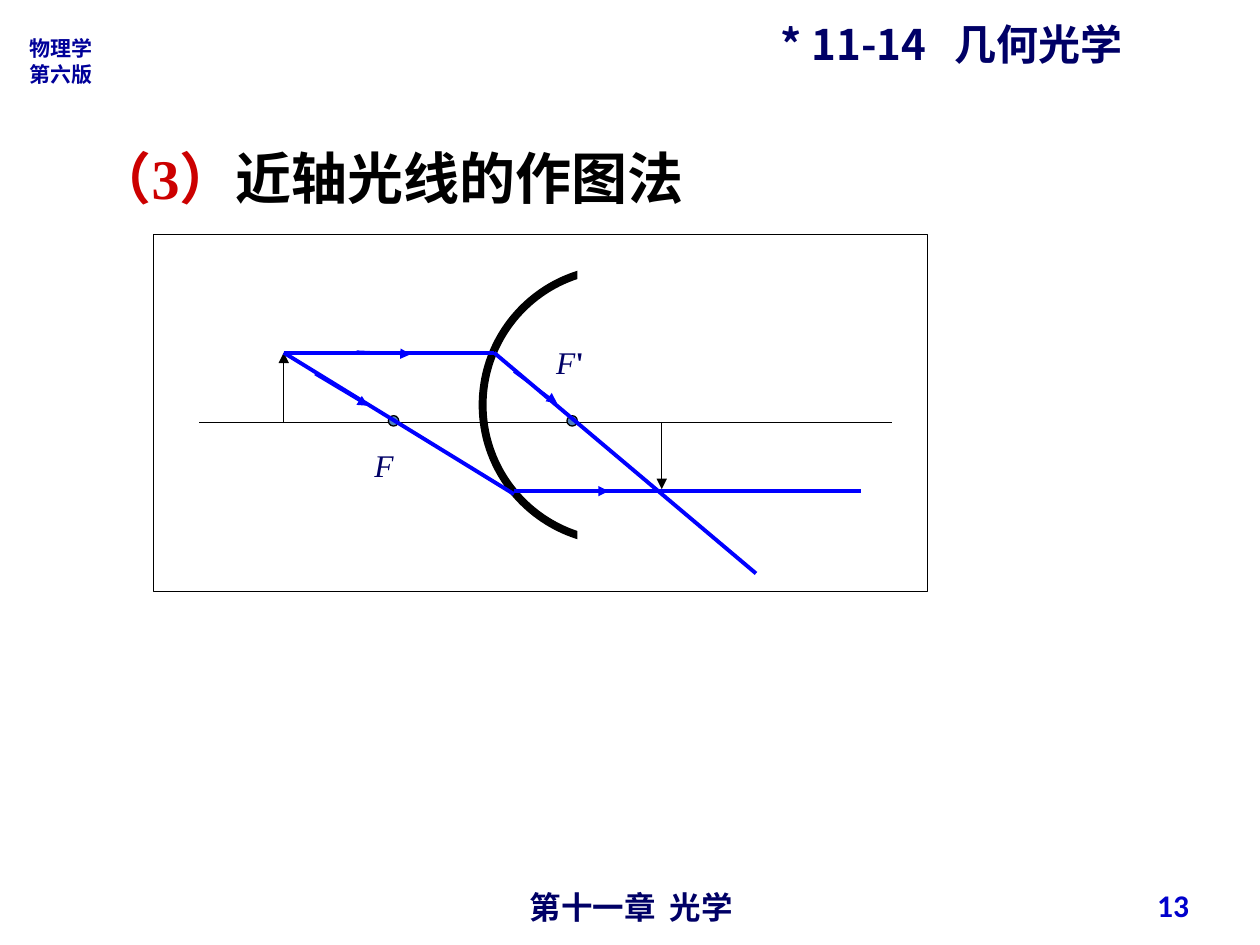
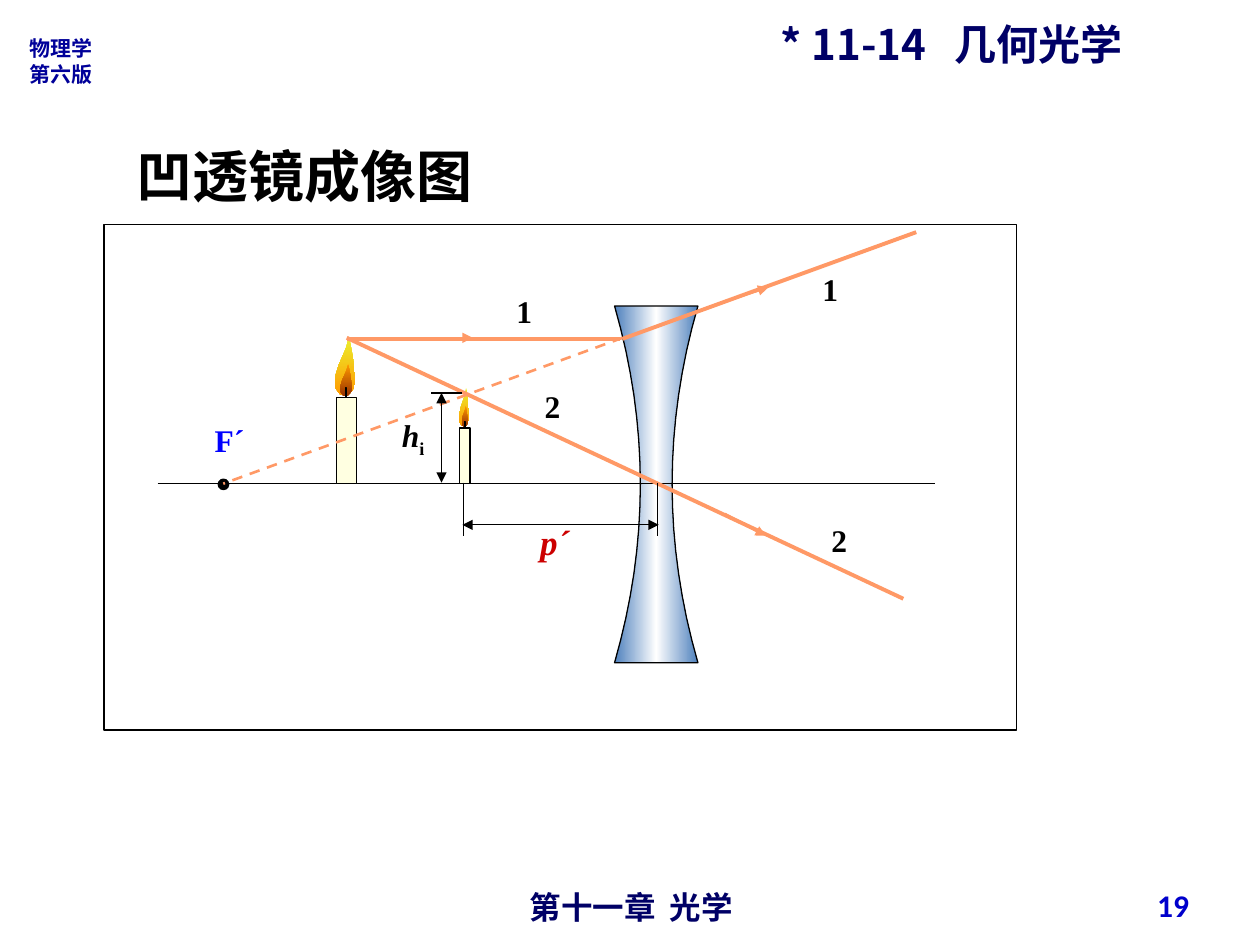
from copy import deepcopy
from dataclasses import dataclass
from typing import Any, NamedTuple, Optional

import pptx
import pptx.dml.color
import pptx.enum.dml
import pptx.enum.shapes
import pptx.enum.text
import pptx.oxml.ns
import pptx.util
from pptx.util import Cm

SHAPE = pptx.enum.shapes.MSO_SHAPE
ALIGN = pptx.enum.text.PP_ALIGN
ANCHOR = pptx.enum.text.MSO_ANCHOR
qn = pptx.oxml.ns.qn


@dataclass(frozen=True)
class Theme:
    black: str = "000000"
    white: str = "FFFFFF"
    navy: str = "000066"
    edition_blue: str = "000099"
    page_blue: str = "0000CC"
    blue: str = "0000FF"
    red: str = "CC0000"
    orange: str = "FF9966"
    glass: str = "4F81BD"
    wax: str = "FFFFE1"
    flame: tuple = ("EBF02E", "FF9900")
    core: tuple = ("FF9900", "993300")
    wick: tuple = ("000000", "FFFFCC")
    cjk: str = "Noto Sans CJK SC"
    sans: str = "Arial"
    serif: str = "Times New Roman"
    number: str = "Calibri"
    small: float = 12
    body: float = 18
    symbol: float = 20
    header: float = 24
    title: float = 32
    thin: float = 0.75
    arrow: float = 1.5
    ray: float = 2.25
    mirror: float = 4.5


T = Theme()


class Box(NamedTuple):
    """Left, top, width and height in centimetres."""
    x: float
    y: float
    w: float
    h: float


class Line(NamedTuple):
    """A straight line in centimetres, with its look."""
    x1: float
    y1: float
    x2: float
    y2: float
    color: str = T.black
    width: float = T.thin
    head: bool = False
    tail: bool = False
    dash: bool = False


class Label(NamedTuple):
    x: float
    y: float
    text: Any
    fmt: dict


class Candle(NamedTuple):
    """Left edge and foot of the wax, and scale across and up."""
    left: float
    foot: float
    across: float
    up: float


# Flame outline in a unit square, from the bottom clockwise.
FLAME = [(.44, 1), (.25, .98), (.06, .89), (0, .79), (.06, .64), (.19, .49),
         (.38, .34), (.56, .19), (.63, .09), (.69, 0), (.75, .09), (.81, .21),
         (.88, .34), (.94, .51), (1, .66), (1, .81), (.88, .91), (.69, .98)]


def rgb(color: str) -> pptx.dml.color.RGBColor:
    return pptx.dml.color.RGBColor.from_string(color)


def add_text(s, box: Box, text, *, size: float = T.body, font: str = T.serif,
             color: str = T.black, bold: bool = False, italic: bool = False,
             align=ALIGN.LEFT, anchor=ANCHOR.TOP, tab: Optional[float] = None) -> None:
    """Text is a string, or a list of (string, overrides) runs; newlines split paragraphs."""
    base = dict(size=size, font=font, color=color, bold=bold, italic=italic, sub=False)
    tf = s.shapes.add_textbox(*map(Cm, box)).text_frame
    tf.word_wrap = True
    tf.vertical_anchor = anchor
    paragraphs = [[(t, {})] for t in text.split("\n")] if isinstance(text, str) else [text]
    for i, runs in enumerate(paragraphs):
        p = tf.add_paragraph() if i else tf.paragraphs[0]
        p.alignment = align
        if tab:
            ppr = p._p.get_or_add_pPr()
            stops = ppr.makeelement(qn("a:tabLst"), {})
            stops.append(stops.makeelement(qn("a:tab"), {"pos": str(Cm(tab)), "algn": "l"}))
            ppr.append(stops)
        for words, changes in runs:
            f = {**base, **changes}
            r = p.add_run()
            r.text = words
            r.font.size = pptx.util.Pt(f["size"])
            r.font.name = f["font"]
            r.font.bold, r.font.italic = f["bold"], f["italic"]
            r.font.color.rgb = rgb(f["color"])
            rpr = r._r.get_or_add_rPr()
            rpr.append(rpr.makeelement(qn("a:ea"), {"typeface": T.cjk}))
            if f["sub"]:
                rpr.set("baseline", "-25000")


def paint(sp, fill=None, line: Optional[str] = None, width: float = T.thin,
          angle: float = 270) -> None:
    """Fill is None, one colour, or a tuple of evenly spaced gradient colours."""
    sp.shadow.inherit = False
    if fill is None:
        sp.fill.background()
    elif isinstance(fill, str):
        sp.fill.solid()
        sp.fill.fore_color.rgb = rgb(fill)
    else:
        sp.fill.gradient()
        sp.fill.gradient_angle = angle
        stops = sp._element.spPr.find(".//" + qn("a:gsLst"))
        for _ in fill[2:]:
            stops.append(deepcopy(stops[-1]))
        for i, (stop, color) in enumerate(zip(sp.fill.gradient_stops, fill)):
            stop.position = i / (len(fill) - 1)
            stop.color.rgb = rgb(color)
    if line is None:
        sp.line.fill.background()
    else:
        sp.line.color.rgb = rgb(line)
        sp.line.width = pptx.util.Pt(width)


def add_shape(s, kind, box: Box, **look) -> None:
    paint(s.shapes.add_shape(kind, *map(Cm, box)), **look)


def add_outline(s, points: list, **look) -> None:
    pts = [(Cm(x), Cm(y)) for x, y in points]
    fb = s.shapes.build_freeform(*pts[0])
    fb.add_line_segments(pts[1:], close=True)
    paint(fb.convert_to_shape(), **look)


def add_line(s, ln: Line) -> None:
    c = s.shapes.add_connector(pptx.enum.shapes.MSO_CONNECTOR.STRAIGHT, *map(Cm, ln[:4]))
    c.line.color.rgb = rgb(ln.color)
    c.line.width = pptx.util.Pt(ln.width)
    if ln.dash:
        c.line.dash_style = pptx.enum.dml.MSO_LINE.DASH
    xml = c.line._get_or_add_ln()
    for tag, wanted in (("a:headEnd", ln.head), ("a:tailEnd", ln.tail)):
        if wanted:
            xml.append(xml.makeelement(qn(tag), {"type": "triangle"}))
    sppr = c._element.spPr
    sppr.append(sppr.makeelement(qn("a:effectLst"), {}))


def add_labels(s, labels: list) -> None:
    for lb in labels:
        add_text(s, Box(lb.x, lb.y, 1.4, 1.02), lb.text, **lb.fmt)


def add_focus(s, x: float, y: float, fill: str) -> None:
    add_shape(s, SHAPE.OVAL, Box(x, y, 0.21, 0.21), fill=fill, line=T.black)


def add_candle(s, c: Candle) -> None:
    def part(x: float, y: float, w: float, h: float) -> Box:
        return Box(c.left + x * c.across, c.foot + y * c.up, w * c.across, h * c.up)

    for b, colors in ((part(-0.03, -2.97, 0.41, 1.19), T.flame),
                      (part(0.08, -2.41, 0.23, 0.64), T.core)):
        add_outline(s, [(b.x + u * b.w, b.y + v * b.h) for u, v in FLAME], fill=colors)
    add_shape(s, SHAPE.RECTANGLE, part(0.18, -1.93, 0.03, 0.28), fill=T.wick, line=T.black)
    add_shape(s, SHAPE.RECTANGLE, part(0, -1.73, 0.41, 1.73), fill=T.wax, line=T.black)


def add_concave_lens(s, middle: float, top: float, height: float,
                     waist: float, edge: float, steps: int = 16) -> None:
    """Parabolic sides, given by the half widths at the waist and the edge."""
    side = []
    for i in range(steps + 1):
        t = 2 * i / steps - 1
        side.append((waist + (edge - waist) * t * t, top + height * i / steps))
    points = [(middle + x, y) for x, y in side] + [(middle - x, y) for x, y in reversed(side)]
    add_outline(s, points, fill=(T.glass, T.white, T.glass), angle=0, line=T.black)


def new_slide(prs, number: int):
    s = prs.slides.add_slide(prs.slide_layouts[6])
    add_text(s, Box(0.34, 0.6, 1.83, 1.27), "物理学\n第六版", size=T.small, font=T.cjk,
             color=T.edition_blue, bold=True)
    add_text(s, Box(10.43, 17.78, 5, 0.74), "第十一章\t光学", font=T.sans,
             color=T.navy, bold=True, tab=2.82)
    add_text(s, Box(15.49, 0.25, 8.33, 2.29), "* 11-14\t几何光学", size=T.header,
             font=T.cjk, color=T.navy, bold=True, tab=3.51)
    add_text(s, Box(18.3, 17.73, 5.92, 1.02), str(number), font=T.number,
             color=T.page_blue, bold=True, align=ALIGN.RIGHT, anchor=ANCHOR.MIDDLE)
    return s


def add_title(s, x: float, y: float, text) -> None:
    add_text(s, Box(x, y, 15, 1.63), text, size=T.title, font=T.sans, bold=True)


def mirror_slide(prs) -> None:
    s = new_slide(prs, 13)
    red = dict(color=T.red)
    add_title(s, 1.68, 2.77,
              [("（", red), ("3", dict(color=T.red, font=T.serif)), ("）", red),
               ("近轴光线的作图法", {})])
    add_shape(s, SHAPE.OVAL, Box(9.73, 5.41, 5.51, 5.51), line=T.black, width=T.mirror)
    add_shape(s, SHAPE.RECTANGLE, Box(11.64, 4.57, 4.01, 7.19), fill=T.white)
    add_line(s, Line(4.02, 8.51, 17.99, 8.51))
    add_line(s, Line(5.72, 8.53, 5.72, 7.11, tail=True))
    for x in (7.83, 11.43):
        add_focus(s, x, 8.38, T.glass)
    for ray in ((5.72, 7.11, 9.96, 7.11), (9.96, 7.11, 15.24, 11.56),
                (5.72, 7.11, 10.36, 9.96), (10.36, 9.9, 17.35, 9.9)):
        add_line(s, Line(*ray, T.blue, T.ray))
    add_line(s, Line(13.34, 8.53, 13.34, 9.86, tail=True))
    for arrow in ((7.19, 7.09, 8.28, 7.14), (6.35, 7.54, 7.42, 8.18),
                  (11.23, 9.9, 12.27, 9.9), (10.36, 7.49, 11.23, 8.13)):
        add_line(s, Line(*arrow, T.blue, T.arrow, tail=True))
    focus = dict(color=T.navy, italic=True)
    add_labels(s, [
        Label(7.3, 8.86, "F", focus),
        Label(10.96, 6.79, [("F", {}), ("'", dict(italic=False, bold=True))], focus)])
    add_shape(s, SHAPE.RECTANGLE, Box(3.1, 4.73, 15.6, 7.2), line=T.black)


def lens_slide(prs) -> None:
    s = new_slide(prs, 19)
    add_concave_lens(s, middle=13.23, top=6.17, height=7.19, waist=0.32, edge=0.84)
    add_title(s, 2.5, 2.72, "凹透镜成像图")
    add_line(s, Line(3.18, 9.74, 18.85, 9.74))
    add_candle(s, Candle(6.78, 9.75, 1, 1))
    add_candle(s, Candle(9.27, 9.75, 0.5, 0.65))
    add_focus(s, 4.4, 9.66, T.black)
    for ray in ((6.99, 6.83, 12.5, 6.83), (6.99, 6.81, 18.21, 12.07),
                (12.55, 6.83, 18.47, 4.68)):
        add_line(s, Line(*ray, T.orange, T.ray))
    for arrow in ((8.46, 6.81, 9.53, 6.81), (14.61, 10.36, 15.44, 10.8),
                  (14.86, 5.99, 15.49, 5.79)):
        add_line(s, Line(*arrow, T.orange, T.arrow, tail=True))
    add_line(s, Line(12.55, 6.81, 4.5, 9.75, T.orange, T.arrow, dash=True))
    for measure in (Line(8.69, 7.92, 9.32, 7.92),
                    Line(8.9, 7.92, 8.9, 9.73, head=True, tail=True),
                    Line(9.35, 9.73, 9.35, 10.8), Line(13.26, 9.73, 13.26, 10.8),
                    Line(9.32, 10.58, 13.28, 10.58, head=True, tail=True)):
        add_line(s, measure)
    bold = dict(bold=True)
    add_labels(s, [
        Label(4.08, 8.36, "F´", dict(bold=True, color=T.blue)),
        Label(10.16, 5.77, "1", bold), Label(16.33, 5.31, "1", bold),
        Label(10.73, 7.67, "2", bold), Label(16.51, 10.38, "2", bold),
        Label(7.85, 8.26, [("h", dict(italic=True)), ("i", dict(sub=True))], bold),
        Label(10.64, 10.36, "p´",
              dict(bold=True, italic=True, color=T.red, size=T.symbol))])
    add_shape(s, SHAPE.RECTANGLE, Box(2.1, 4.52, 18.4, 10.2), line=T.black)


def main() -> None:
    prs = pptx.Presentation()
    prs.slide_width, prs.slide_height = Cm(25.4), Cm(19.05)
    mirror_slide(prs)
    lens_slide(prs)
    prs.save("out.pptx")


if __name__ == "__main__":
    main()
